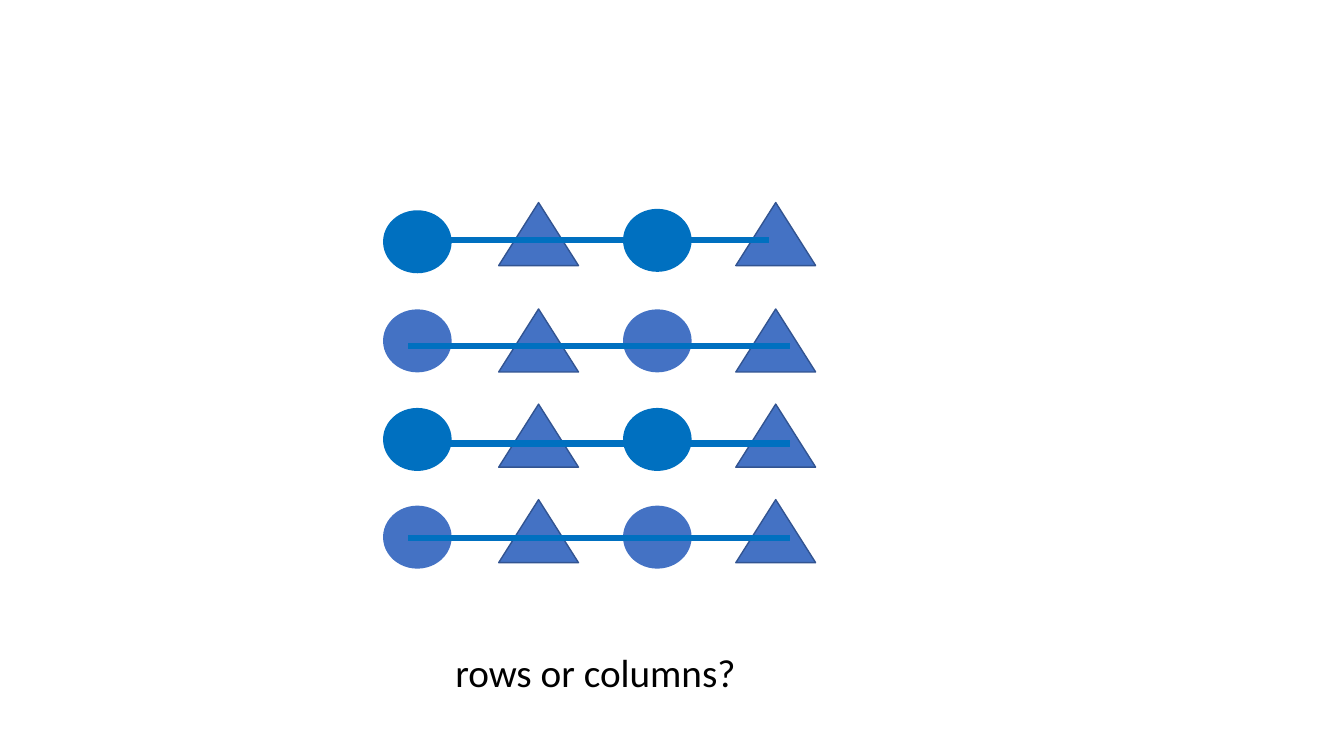
from pptx import Presentation
from pptx.dml.color import RGBColor
from pptx.enum.shapes import MSO_CONNECTOR, MSO_SHAPE
from pptx.enum.text import MSO_AUTO_SIZE
from pptx.oxml.ns import qn
from pptx.util import Pt
from lxml import etree

BLUE = RGBColor(0x00, 0x70, 0xC0)
INDIGO = RGBColor(0x44, 0x72, 0xC4)
OUTLINE = RGBColor(0x32, 0x54, 0x91)
BLACK = RGBColor(0, 0, 0)

CIRCLE_W, TRIANGLE_W, SHAPE_H = 49, 57, 45
CIRCLE_COLUMNS = (0, 171.4)
TRIANGLE_COLUMNS = (82.6, 252)
LINE_LENGTH = 272.9

# Per row, from the top of the grid: circle tops, triangle top, line start and height
ROWS = [
    {"circles": (5.5, 4.5), "fill": BLUE, "triangle": 0, "line": (2.9, 26.5)},
    {"circles": (76.3, 76.3), "fill": INDIGO, "triangle": 76, "line": (18, 102.2)},
    {"circles": (146.7, 146.7), "fill": BLUE, "triangle": 144, "line": (18, 172.2)},
    {"circles": (216.5, 216.5), "fill": INDIGO, "triangle": 212.2, "line": (18, 239.7)},
]


def add_figure(slide, kind, x, y, w, fill, outline=None):
    sp = slide.shapes.add_shape(kind, Pt(x), Pt(y), Pt(w), Pt(SHAPE_H))
    sp.shadow.inherit = False
    sp.fill.solid()
    sp.fill.fore_color.rgb = fill
    if outline is None:
        sp.line.fill.background()
    else:
        sp.line.color.rgb = outline
        sp.line.width = Pt(1)


def add_row_line(slide, x, y):
    line = slide.shapes.add_connector(
        MSO_CONNECTOR.STRAIGHT, Pt(x), Pt(y), Pt(x + LINE_LENGTH), Pt(y))
    line.line.color.rgb = BLUE
    line.line.width = Pt(4.5)
    etree.SubElement(line._element.spPr, qn("a:effectLst"))


def add_shape_grid(slide, left, top):
    # Circles
    for row in ROWS:
        for x, y in zip(CIRCLE_COLUMNS, row["circles"]):
            add_figure(slide, MSO_SHAPE.OVAL, left + x, top + y, CIRCLE_W, row["fill"])
    # Triangles
    for row in ROWS:
        for x in TRIANGLE_COLUMNS:
            add_figure(slide, MSO_SHAPE.ISOSCELES_TRIANGLE, left + x,
                       top + row["triangle"], TRIANGLE_W, INDIGO, OUTLINE)
    # Lines through the rows
    for row in ROWS:
        x, y = row["line"]
        add_row_line(slide, left + x, top + y)


def add_question(slide, left, top, width, height):
    box = slide.shapes.add_textbox(Pt(left), Pt(top), Pt(width), Pt(height))
    tf = box.text_frame
    tf.word_wrap = False
    tf.auto_size = MSO_AUTO_SIZE.SHAPE_TO_FIT_TEXT
    r = tf.paragraphs[0].add_run()
    r.text = "rows or columns?"
    for name, value in {"name": "Calibri", "size": Pt(28)}.items():
        setattr(r.font, name, value)
    r.font.color.rgb = BLACK


def main():
    prs = Presentation()
    prs.slide_width, prs.slide_height = Pt(960), Pt(540)
    slide = prs.slides.add_slide(prs.slide_layouts[6])
    add_shape_grid(slide, 273.6, 144.7)
    add_question(slide, 318.2, 459.4, 225.4, 41)
    prs.save("out.pptx")


if __name__ == "__main__":
    main()
